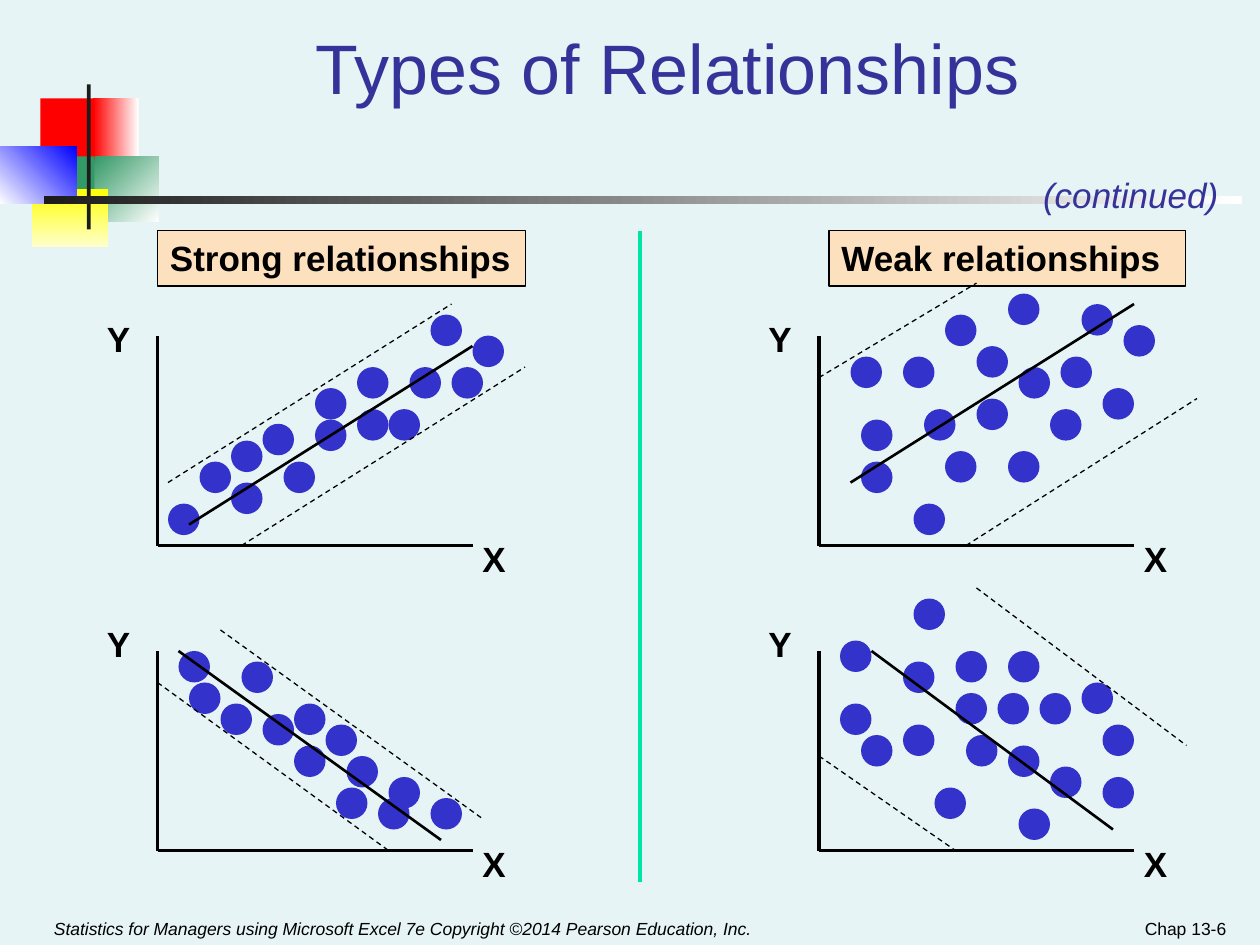
from lxml.etree import SubElement
from pptx import Presentation
from pptx.dml.color import RGBColor
from pptx.enum.dml import MSO_LINE
from pptx.enum.shapes import MSO_CONNECTOR, MSO_SHAPE
from pptx.enum.text import MSO_ANCHOR, PP_ALIGN
from pptx.oxml.ns import qn
from pptx.util import Inches, Pt

HUES = {
    "back": "E7F4F5", "ink": "000000", "title": "333399", "dot": "3333CC",
    "box": "FDE0BD", "split": "00E4A8", "red": "FF0000", "green": "339966",
    "blue": "0000FF", "yellow": "FFFF00", "cream": "FFFFCC",
    "white": "FFFFFF", "dark": "1C1C1C",
}
UNIT = 1 / 12  # plot grid step in inches
SIZE = 0.25    # dot diameter

# Plots: axis corner in inches; the rest in grid steps right of and above it.
# Dots are given by their top left corner.
PLOTS = [
    {"left": 1.25, "base": 4.33, "tall": 20,  # strong, rising
     "dots": [(1, 4), (4, 8), (26, 22), (28, 17), (7, 6), (30, 20), (19, 13),
              (19, 17), (24, 17), (15, 15), (7, 10), (10, 11.6), (22, 13),
              (15, 12), (12, 8)],
     "bands": [((1, 6), (28, 23)), ((8, 0), (35, 17))],
     "trend": ((3, 2), (30, 19))},
    {"left": 1.25, "base": 6.75, "tall": 19,  # strong, falling
     "dots": [(21, 5), (3, 16), (26, 5), (8, 18), (18, 9), (22, 7), (13, 14),
              (2, 19), (6, 14), (10, 13), (17, 6), (16, 12), (13, 10)],
     "bands": [((6, 21), (31, 3)), ((0, 16), (22, 0))],
     "trend": ((2, 19), (27, 1))},
    {"left": 6.5, "base": 4.33, "tall": 20,  # weak, rising
     "dots": [(15, 19), (4, 8), (18, 9), (23, 18), (8, 18), (9, 4), (12, 9),
              (19, 17), (12, 22), (4, 12), (3, 18), (10, 13), (22, 13),
              (15, 14), (18, 24), (29, 21), (27, 15), (25, 23)],
     "bands": [((0, 16), (15, 25)), ((14, 0), (36, 14))],
     "trend": ((3, 6), (30, 23))},
    {"left": 6.5, "base": 6.75, "tall": 19,  # weak, falling
     "dots": [(2, 14), (2, 20), (8, 12), (19, 4), (4, 11), (13, 19), (18, 10),
              (17, 15), (13, 15), (8, 18), (21, 15), (14, 11), (11, 6),
              (22, 8), (27, 12), (25, 16), (27, 7), (18, 19), (9, 24)],
     "bands": [((15, 25), (35, 10)), ((0, 9), (13, 0))],
     "trend": ((5, 19), (28, 2))},
]

# Corner motif: left, top, width, height, colours, gradient angle
MOTIF = [
    (0.32, 0.78, 0.48, 0.52, ["red"], 0),
    (0.74, 0.78, 0.36, 0.52, ["red", "white"], 0),
    (0.75, 1.24, 0.51, 0.52, ["green", "white"], 45),
    (0.43, 1.24, 0.32, 0.52, ["green"], 0),
    (0.25, 1.5, 0.61, 0.46, ["yellow", "cream"], 90),
    (0, 1.16, 0.61, 0.46, ["white", "blue"], 315),
    (0.69, 0.67, 0.03, 1.15, ["dark"], 0),
    (0.35, 1.56, 9.51, 0.06, ["dark", "white"], 0),
]


def tint(name):
    return RGBColor.from_string(HUES[name])


def paint(fill, hues, angle=0):
    if len(hues) == 1:
        fill.solid()
        fill.fore_color.rgb = tint(hues[0])
        return
    fill.gradient()
    fill.gradient_angle = -angle % 360
    for stop, hue, place in zip(fill.gradient_stops, hues, (0, 1)):
        stop.color.rgb = tint(hue)
        stop.position = place


def add_form(slide, kind, spot, hues, angle=0):
    form = slide.shapes.add_shape(kind, *map(Inches, spot))
    form.shadow.inherit = False
    paint(form.fill, hues, angle)
    form.line.fill.background()
    return form


def add_line(slide, start, end, hue, width, dash=False):
    line = slide.shapes.add_connector(
        MSO_CONNECTOR.STRAIGHT, *map(Inches, (*start, *end)))
    line.line.color.rgb = tint(hue)
    line.line.width = Pt(width)
    if dash:
        line.line.dash_style = MSO_LINE.DASH
    SubElement(line._element.spPr, qn("a:effectLst"))


def set_text(shape, text, size, hue="ink", bold=False, italic=False,
             align=PP_ALIGN.LEFT, anchor=MSO_ANCHOR.TOP, wrap=True):
    frame = shape.text_frame
    frame.word_wrap = wrap
    frame.vertical_anchor = anchor
    para = frame.paragraphs[0]
    para.alignment = align
    run = para.add_run()
    run.text = text
    font = run.font
    font.name, font.size = "Arial", Pt(size)
    font.bold, font.italic = bold, italic
    font.color.rgb = tint(hue)


def add_text(slide, spot, text, size, **style):
    box = slide.shapes.add_textbox(*map(Inches, spot))
    set_text(box, text, size, **style)


def add_head(slide, left, width, text):
    box = add_form(slide, MSO_SHAPE.RECTANGLE, (left, 1.83, width, 0.44),
                   ["box"])
    box.line.color.rgb = tint("ink")
    box.line.width = Pt(1)
    set_text(box, text, 20, bold=True)


def add_plot(slide, plot):
    left, base = plot["left"], plot["base"]

    def at(point):
        return left + point[0] * UNIT, base - point[1] * UNIT

    # Axes and their letters
    for end in ((0, plot["tall"]), (30, 0)):
        add_line(slide, at((0, 0)), at(end), "ink", 2)
    for text, x, y in (("Y", left - 0.5, base - 1.86),
                       ("X", left + 2.48, base - 0.11)):
        add_text(slide, (x, y, 0.38, 0.44), text, 20, bold=True, wrap=False)

    # Dots, then the band and trend lines on top
    for dot in plot["dots"]:
        add_form(slide, MSO_SHAPE.OVAL, (*at(dot), SIZE, SIZE), ["dot"])
    for start, end in plot["bands"]:
        add_line(slide, at(start), at(end), "ink", 0.75, dash=True)
    start, end = plot["trend"]
    add_line(slide, at(start), at(end), "ink", 1.5)


def add_title(slide, text):
    title = slide.shapes.title
    title.left, title.top = Inches(1.26), Inches(-0.17)
    title.width, title.height = Inches(8.07), Inches(1.08)
    set_text(title, text, 40, hue="title", align=PP_ALIGN.CENTER,
             anchor=MSO_ANCHOR.BOTTOM)


def main():
    deck = Presentation()
    deck.slide_width, deck.slide_height = Inches(10), Inches(7.5)
    slide = deck.slides.add_slide(deck.slide_layouts[5])
    paint(slide.background.fill, ["back"])

    # Corner motif and rule
    for *spot, hues, angle in MOTIF:
        add_form(slide, MSO_SHAPE.RECTANGLE, spot, hues, angle)

    # Title and column heads
    add_title(slide, "Types of Relationships")
    add_text(slide, (8.18, 1.33, 1.59, 0.44), "(continued)", 20,
             hue="title", italic=True, wrap=False)
    add_head(slide, 1.25, 2.92, "Strong relationships")
    add_head(slide, 6.58, 2.83, "Weak relationships")
    add_line(slide, (5.08, 1.83), (5.08, 7), "split", 2.25)

    # Scatter plots
    for plot in PLOTS:
        add_plot(slide, plot)

    # Footer
    add_text(slide, (0.33, 7.08, 5.83, 0.42),
             "Statistics for Managers using Microsoft Excel 7e "
             "Copyright ©2014 Pearson Education, Inc.",
             10, italic=True, anchor=MSO_ANCHOR.BOTTOM)
    add_text(slide, (7.5, 7.15, 2.33, 0.35), "Chap 13-6", 10,
             align=PP_ALIGN.RIGHT, anchor=MSO_ANCHOR.BOTTOM)

    deck.save("out.pptx")


if __name__ == "__main__":
    main()
